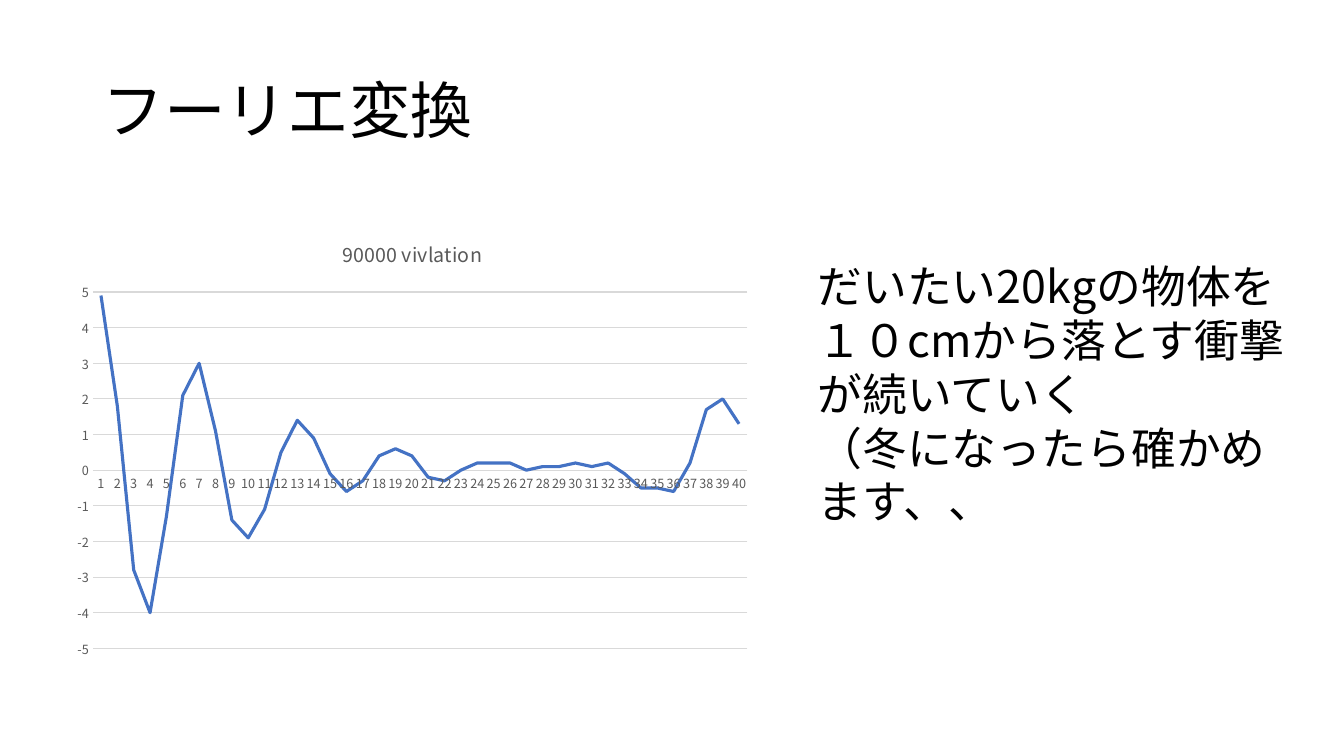
from lxml import etree
from pptx import Presentation
from pptx import util as u
from pptx.chart.data import CategoryChartData
from pptx.dml.color import RGBColor
from pptx.enum import chart as charts, text
from pptx.oxml.ns import qn

FONT = "Noto Sans CJK JP"
BLACK, GREY, PALE, BLUE = "000000", "595959", "D9D9D9", "4472C4"

TITLE = "フーリエ変換"
NOTES = [
    "だいたい20kgの物体を",
    "１０cmから落とす衝撃が続いていく",
    "（冬になったら確かめます、、",
]
CHART_TITLE = "90000 vivlation"
VIBRATION = [
    4.9, 1.8, -2.8, -4, -1.3, 2.1, 3, 1.1, -1.4, -1.9,
    -1.1, 0.5, 1.4, 0.9, -0.1, -0.6, -0.3, 0.4, 0.6, 0.4,
    -0.2, -0.3, 0, 0.2, 0.2, 0.2, 0, 0.1, 0.1, 0.2,
    0.1, 0.2, -0.1, -0.5, -0.5, -0.6, 0.2, 1.7, 2, 1.3,
]

# left, top, width, height in px, 100 px to the inch
TITLE_AREA = (92, 40, 1150, 145)
CHART_AREA = (63, 218, 692, 443)
NOTES_AREA = (801, 252, 485, 279)


def px(*lengths):
    return [u.Emu(length * 9144) for length in lengths]


def color(code):
    return RGBColor.from_string(code)


def style(font, size, code):
    """Set size, colour and the typeface for Latin and Japanese text."""
    font.size = u.Pt(size)
    font.bold = False
    font.color.rgb = color(code)
    font.name = FONT
    latin = font._element.find(qn("a:latin"))
    japanese = etree.Element(qn("a:ea"), typeface=FONT)
    latin.addnext(japanese)


def add_text(page, area, lines, size, spacing, anchor=text.MSO_ANCHOR.TOP):
    box = page.shapes.add_textbox(*px(*area))
    frame = box.text_frame
    frame.word_wrap = True
    frame.vertical_anchor = anchor
    for index, line in enumerate(lines):
        para = frame.add_paragraph() if index else frame.paragraphs[0]
        para.line_spacing = spacing
        span = para.add_run()
        span.text = line
        style(span.font, size, BLACK)


def style_line(line, code, width):
    line.color.rgb = color(code)
    line.width = u.Pt(width)


def add_vibration_chart(page):
    data = CategoryChartData()
    data.categories = [str(number + 1) for number in range(len(VIBRATION))]
    data.add_series("Series 1", VIBRATION)
    frame = page.shapes.add_chart(
        charts.XL_CHART_TYPE.LINE, *px(*CHART_AREA), data)
    chart = frame.chart
    style(chart.font, 10, BLACK)
    chart.has_legend = False
    chart.has_title = True
    heading = chart.chart_title.text_frame.paragraphs[0].add_run()
    heading.text = CHART_TITLE
    style(heading.font, 14, GREY)

    for axis in (chart.category_axis, chart.value_axis):
        axis.major_tick_mark = charts.XL_TICK_MARK.NONE
        axis.minor_tick_mark = charts.XL_TICK_MARK.NONE
        style(axis.tick_labels.font, 9, GREY)
    style_line(chart.category_axis.format.line, PALE, 0.75)

    values = chart.value_axis
    values.minimum_scale, values.maximum_scale = -5, 5
    values.major_unit = 1
    values.format.line.fill.background()
    values.has_major_gridlines = True
    style_line(values.major_gridlines.format.line, PALE, 0.75)

    chart.plots[0].vary_by_categories = False
    series = chart.plots[0].series[0]
    series.smooth = False
    style_line(series.format.line, BLUE, 2.25)


def main():
    deck = Presentation()
    deck.slide_width, deck.slide_height = px(1333, 750)
    page = deck.slides.add_slide(deck.slide_layouts[6])
    add_text(page, TITLE_AREA, [TITLE], size=44, spacing=0.9,
             anchor=text.MSO_ANCHOR.MIDDLE)
    add_vibration_chart(page)
    add_text(page, NOTES_AREA, NOTES, size=32, spacing=u.Pt(38.4))
    deck.save("out.pptx")


if __name__ == "__main__":
    main()
